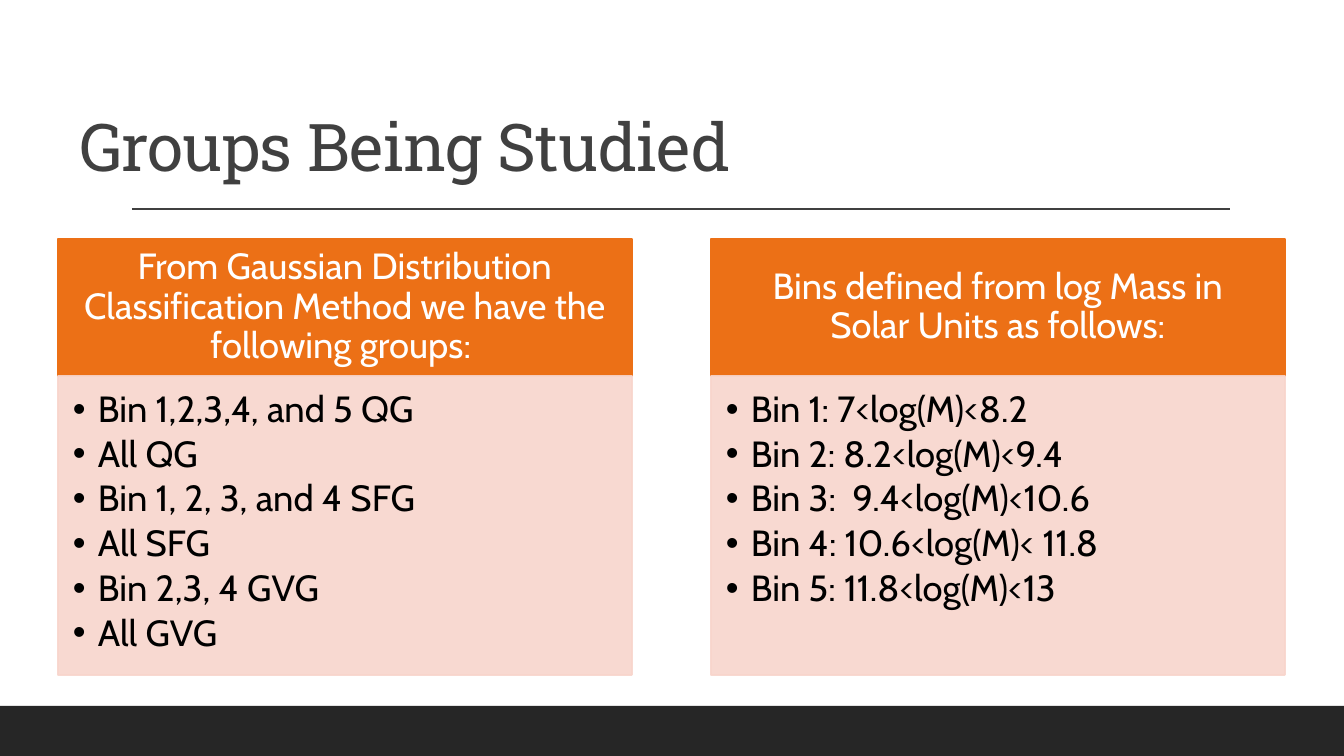
from lxml.etree import SubElement
from pptx import Presentation
from pptx.dml.color import RGBColor
from pptx.enum.shapes import MSO_CONNECTOR, MSO_SHAPE
from pptx.enum.text import MSO_ANCHOR, MSO_AUTO_SIZE, PP_ALIGN
from pptx.oxml.ns import qn
from pptx.util import Pt

EMU_PER_PX = 914400 / 100.8
TITLE_FONT, BODY_FONT = "Roboto Slab", "Cabin"
ORANGE, PINK, DARK, GREY = "EC7016", "F8D5CC", "262626", "404040"

GROUPS = [
    ("From Gaussian Distribution Classification Method we have the following groups: ",
     ["Bin 1,2,3,4, and 5 QG", "All QG", "Bin 1, 2, 3, and 4 SFG", "All SFG",
      "Bin 2,3, 4 GVG", "All GVG"]),
    ("Bins defined from log Mass in Solar Units as follows:",
     ["Bin 1: 7<log(M)<8.2", "Bin 2: 8.2<log(M)<9.4", "Bin 3:  9.4<log(M)<10.6",
      "Bin 4: 10.6<log(M)< 11.8", "Bin 5: 11.8<log(M)<13"]),
]


def px(length):
    return round(length * EMU_PER_PX)


def color(hex_text):
    return RGBColor.from_string(hex_text)


def set_alpha(fill_format, percent):
    """Make a solid fill partly transparent."""
    for rgb in fill_format.iter(qn("a:srgbClr")):
        SubElement(rgb, qn("a:alpha"), val=str(percent * 1000))


def add_bullet(para, indent):
    properties = para._p.get_or_add_pPr()
    properties.set("marL", str(px(indent)))
    properties.set("indent", str(-px(indent)))
    SubElement(properties, qn("a:buFont"), typeface="Arial")
    SubElement(properties, qn("a:buChar"), char="•")


def write_text(shape, lines, *, size, font, ink, align=PP_ALIGN.LEFT, anchor=MSO_ANCHOR.TOP,
               insets=(10, 5, 10, 5), after=0, bullet_indent=0, tracking=0):
    frame = shape.text_frame
    frame.word_wrap = True
    frame.auto_size = MSO_AUTO_SIZE.NONE
    frame.vertical_anchor = anchor
    (frame.margin_left, frame.margin_top,
     frame.margin_right, frame.margin_bottom) = map(px, insets)
    for number, line in enumerate(lines):
        para = frame.add_paragraph() if number else frame.paragraphs[0]
        para.alignment = align
        para.line_spacing = 0.9
        para.space_before = Pt(0)
        para.space_after = Pt(after)
        if bullet_indent:
            add_bullet(para, bullet_indent)
        span = para.add_run()
        span.text = line
        span.font.size = Pt(size)
        span.font.name = font
        span.font.color.rgb = color(ink)
        if tracking:
            span.font._element.set("spc", str(round(tracking * 100)))


def add_box(page, left, top, width, height, fill, outlined=True, opacity=100):
    box = page.shapes.add_shape(MSO_SHAPE.RECTANGLE, px(left), px(top), px(width), px(height))
    box.shadow.inherit = False
    box.fill.solid()
    box.fill.fore_color.rgb = color(fill)
    if outlined:
        box.line.color.rgb = color(fill)
        box.line.width = Pt(1.25)
    else:
        box.line.fill.background()
    if opacity < 100:
        set_alpha(box._element.spPr, opacity)
    return box


def add_title(page, left, top, width, height):
    title = page.shapes.title
    title.left, title.top, title.width, title.height = map(px, (left, top, width, height))
    write_text(title, ["Groups Being Studied"], size=47, font=TITLE_FONT, ink=GREY,
               anchor=MSO_ANCHOR.BOTTOM, tracking=-0.5)


def add_rule(page, left, top, width):
    rule = page.shapes.add_connector(MSO_CONNECTOR.STRAIGHT, px(left), px(top),
                                     px(left + width), px(top))
    rule.line.color.rgb = color(GREY)
    rule.line.width = Pt(1)
    SubElement(rule._element.spPr, qn("a:effectLst"))


def add_group_card(page, heading, items, left, top, width, height):
    heading_height = 137
    header = add_box(page, left, top, width, heading_height, ORANGE)
    write_text(header, [heading], size=26, font=BODY_FONT, ink="FFFFFF",
               align=PP_ALIGN.CENTER, anchor=MSO_ANCHOR.MIDDLE, insets=(20, 12, 20, 12))
    body = add_box(page, left, top + heading_height, width, height - heading_height,
                   PINK, opacity=90)
    write_text(body, items, size=26, font=BODY_FONT, ink="000000",
               insets=(15, 15, 20, 23), after=3.9, bullet_indent=25)


def main():
    deck = Presentation()
    deck.slide_width, deck.slide_height = px(1344), px(756)
    page = deck.slides.add_slide(deck.slide_layouts[5])

    # Footer band, rule and title
    add_box(page, 0, 706, 1344, 50, DARK, outlined=False)
    add_rule(page, 132, 209, 1098)
    add_title(page, 69, 90, 1160, 101)

    # Two cards side by side
    card_width, gap = 574, 79
    for column, (heading, items) in enumerate(GROUPS):
        add_group_card(page, heading, items, 58 + column * (card_width + gap), 239,
                       card_width, 436)

    deck.save("out.pptx")


if __name__ == "__main__":
    main()
